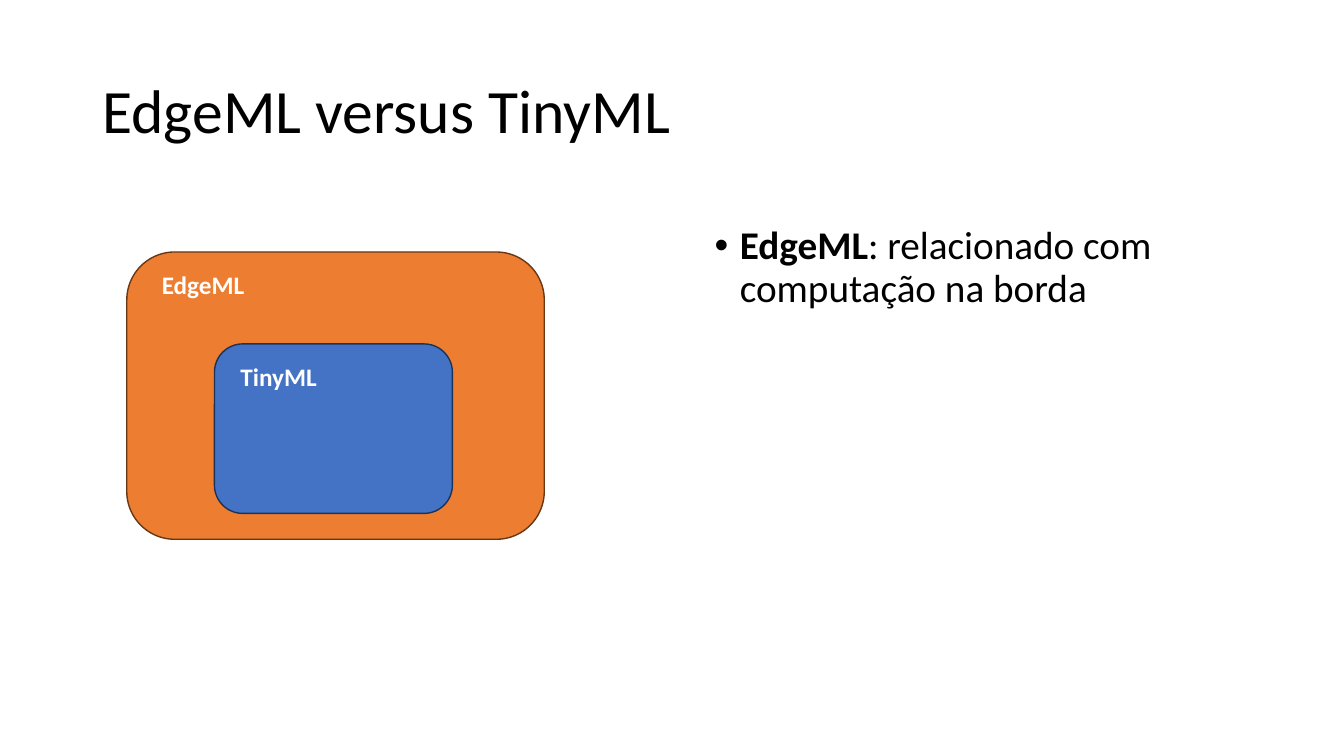
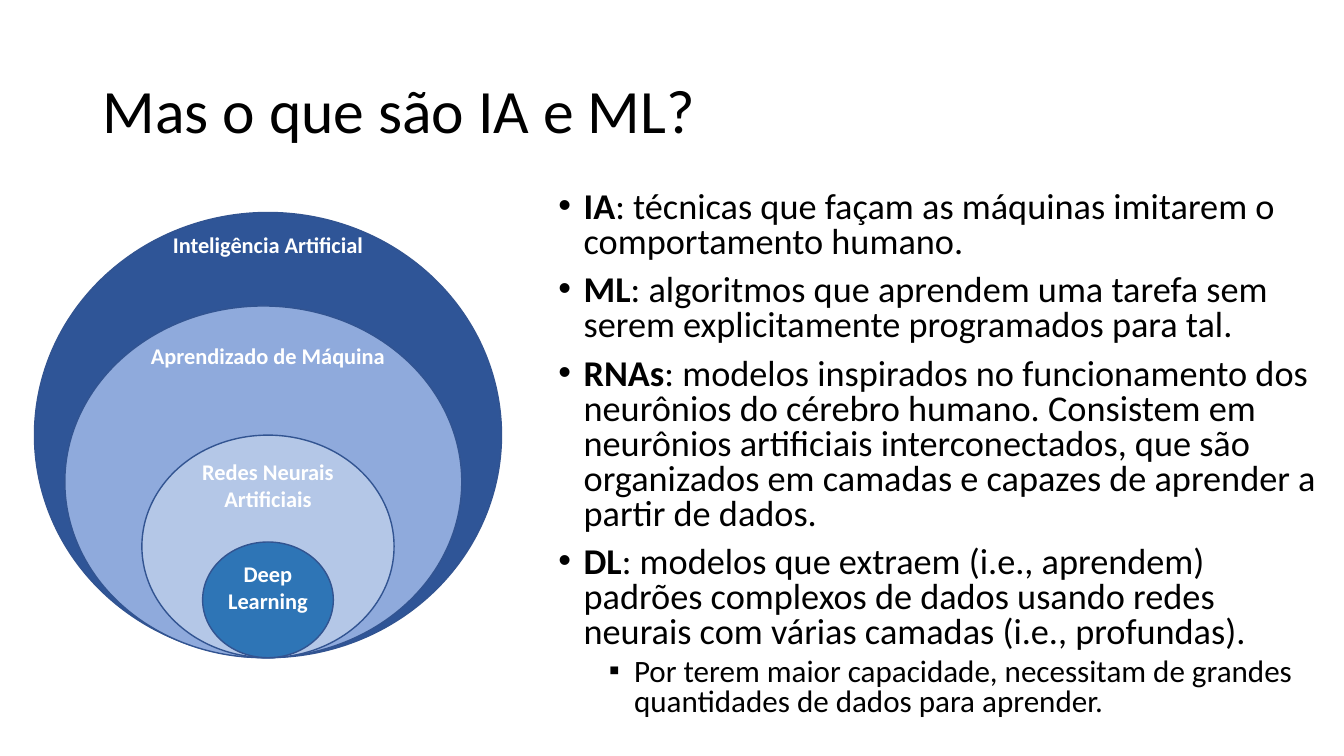
from collections import namedtuple

from lxml import etree
from pptx import Presentation
from pptx.dml.color import RGBColor
from pptx.enum.shapes import MSO_SHAPE
from pptx.enum.text import MSO_ANCHOR, PP_ALIGN
from pptx.oxml.ns import qn
from pptx.util import Inches, Pt

ELLIPSE = MSO_SHAPE.OVAL
ROUNDED = MSO_SHAPE.ROUNDED_RECTANGLE
LEFT, CENTER = PP_ALIGN.LEFT, PP_ALIGN.CENTER
MIDDLE = MSO_ANCHOR.MIDDLE

CELL = Inches(1) / 12
COLUMNS, ROWS = 160, 90
TITLE_ONLY = 5
FONT = "Calibri"
COLORS = {
    "text": "000000",
    "label": "FFFFFF",
    "edge": "ED7D31",
    "edge_line": "683715",
    "tiny": "4472C4",
    "tiny_line": "1E3256",
    "ai": "2F5597",
    "learning": "8FAADC",
    "networks": "B4C7E7",
    "deep": "2E75B6",
    "ring_line": "325491",
}

Box = namedtuple("Box", "left top width height")
Bullet = namedtuple("Bullet", "term text level", defaults=(0,))
Ring = namedtuple("Ring", "text fill width height shift label_top label_width")

TITLE_BOX = Box(11, 4.8, 138, 17.4)
BULLET_STYLES = (("•", 0.25, 10), ("▪", 0.75, 5))

EDGE_BULLETS = (Bullet("EdgeML", ": relacionado com computação na borda"),)
AI_BULLETS = (
    Bullet("IA", ": técnicas que façam as máquinas imitarem o comportamento humano."),
    Bullet("ML", ": algoritmos que aprendem uma tarefa sem serem explicitamente "
           "programados para tal."),
    Bullet("RNAs", ": modelos inspirados no funcionamento dos neurônios do cérebro "
           "humano. Consistem em neurônios artificiais interconectados, que são "
           "organizados em camadas e capazes de aprender a partir de dados."),
    Bullet("DL", ": modelos que extraem (i.e., aprendem) padrões complexos de dados "
           "usando redes neurais com várias camadas (i.e., profundas)."),
    Bullet("", "Por terem maior capacidade, necessitam de grandes quantidades de "
           "dados para aprender.", 1),
)
RINGS = (
    Ring("Inteligência Artificial", "ai", 1, 1, 0, 0.03, 0.72),
    Ring("Aprendizado de Máquina", "learning", 0.85, 0.79, -0.01, 0.28, 0.64),
    Ring("Redes Neurais Artificiais", "networks", 0.54, 0.5, 0, 0.54, 0.49),
    Ring("Deep Learning", "deep", 0.28, 0.26, 0, 0.77, 0.27),
)


def emu(box):
    """Convert a box in grid cells to slide lengths."""
    return [round(value * CELL) for value in box]


def part(box, left, top, width, height):
    """Return the part of a box given by shares of its size."""
    return Box(box.left + left * box.width, box.top + top * box.height,
               width * box.width, height * box.height)


def color(name):
    """Look up a named colour."""
    return RGBColor.from_string(COLORS[name])


def style(para, size, ink, bold=False, align=LEFT):
    """Set the font and alignment of a paragraph."""
    para.alignment = align
    para.font.name = FONT
    para.font.size = Pt(size)
    para.font.bold = bold
    para.font.color.rgb = color(ink)


def add_page(deck, title):
    """Add a slide with the shared title style."""
    page = deck.slides.add_slide(deck.slide_layouts[TITLE_ONLY])
    heading = page.shapes.title
    heading.left, heading.top, heading.width, heading.height = emu(TITLE_BOX)
    frame = heading.text_frame
    frame.text = title
    frame.vertical_anchor = MIDDLE
    para = frame.paragraphs[0]
    para.line_spacing = 0.9
    style(para, 44, "text")
    return page


def add_text(page, box):
    """Add a wrapping text box and return its frame."""
    frame = page.shapes.add_textbox(*emu(box)).text_frame
    frame.word_wrap = True
    return frame


def add_label(page, box, text, size, align=LEFT):
    """Add a bold white diagram label."""
    para = add_text(page, box).paragraphs[0]
    para.text = text
    style(para, size, "label", True, align)


def add_filled(page, kind, box, fill, line):
    """Add a flat shape with a thin outline."""
    shape = page.shapes.add_shape(kind, *emu(box))
    shape.shadow.inherit = False
    shape.fill.solid()
    shape.fill.fore_color.rgb = color(fill)
    shape.line.color.rgb = color(line)
    shape.line.width = Pt(1)


def set_bullet(para, mark, indent):
    """Give a paragraph a hanging bullet."""
    props = para._p.get_or_add_pPr()
    props.set("marL", str(Inches(indent)))
    props.set("indent", str(-Inches(0.25)))
    etree.SubElement(props, qn("a:buFont")).set("typeface", "Arial")
    etree.SubElement(props, qn("a:buChar")).set("char", mark)


def add_bullets(page, box, bullets, sizes, spacing):
    """Fill a box with bullets led by bold terms."""
    frame = add_text(page, box)
    for index, bullet in enumerate(bullets):
        para = frame.add_paragraph() if index else frame.paragraphs[0]
        mark, indent, gap = BULLET_STYLES[bullet.level]
        para.level = bullet.level
        set_bullet(para, mark, indent)
        para.line_spacing = spacing
        para.space_before = Pt(gap if index else 0)
        style(para, sizes[bullet.level], "text")
        if bullet.term:
            span = para.add_run()
            span.text = bullet.term
            span.font.bold = True
        para.add_run().text = bullet.text


def add_nested_boxes(page, box):
    """Draw TinyML as a box inside EdgeML."""
    inner = part(box, 0.21, 0.32, 0.57, 0.59)
    for area, text, name in ((box, "EdgeML", "edge"), (inner, "TinyML", "tiny")):
        add_filled(page, ROUNDED, area, name, name + "_line")
        inset = 0.05 * area.width + 0.5
        add_label(page, Box(area.left + inset, area.top + 1.5, 13.4, 4.8), text, 18)


def add_rings(page, box):
    """Draw nested ellipses that share their lowest point."""
    for ring in RINGS:
        left = (1 - ring.width) / 2 + ring.shift
        area = part(box, left, 1 - ring.height, ring.width, ring.height)
        add_filled(page, ELLIPSE, area, ring.fill, "ring_line")
        label = part(box, (1 - ring.label_width) / 2, ring.label_top,
                     ring.label_width, 0.08)
        add_label(page, label, ring.text, 16, CENTER)


def build_edge_page(deck):
    """Compare EdgeML with TinyML."""
    page = add_page(deck, "EdgeML versus TinyML")
    add_bullets(page, Box(83.9, 26.3, 66.8, 57.1), EDGE_BULLETS, (28,), 0.9)
    add_nested_boxes(page, Box(15.1, 30, 49.7, 34.2))


def build_ai_page(deck):
    """Define the nested fields of artificial intelligence."""
    page = add_page(deck, "Mas o que são IA e ML?")
    add_bullets(page, Box(65.3, 22.2, 92.8, 67.8), AI_BULLETS, (25.9, 22.2), 0.8)
    add_rings(page, Box(4.1, 25.3, 55.6, 53))


def main():
    """Build and save the deck."""
    deck = Presentation()
    deck.slide_width, deck.slide_height = emu((COLUMNS, ROWS))
    build_edge_page(deck)
    build_ai_page(deck)
    deck.save("out.pptx")


if __name__ == "__main__":
    main()
